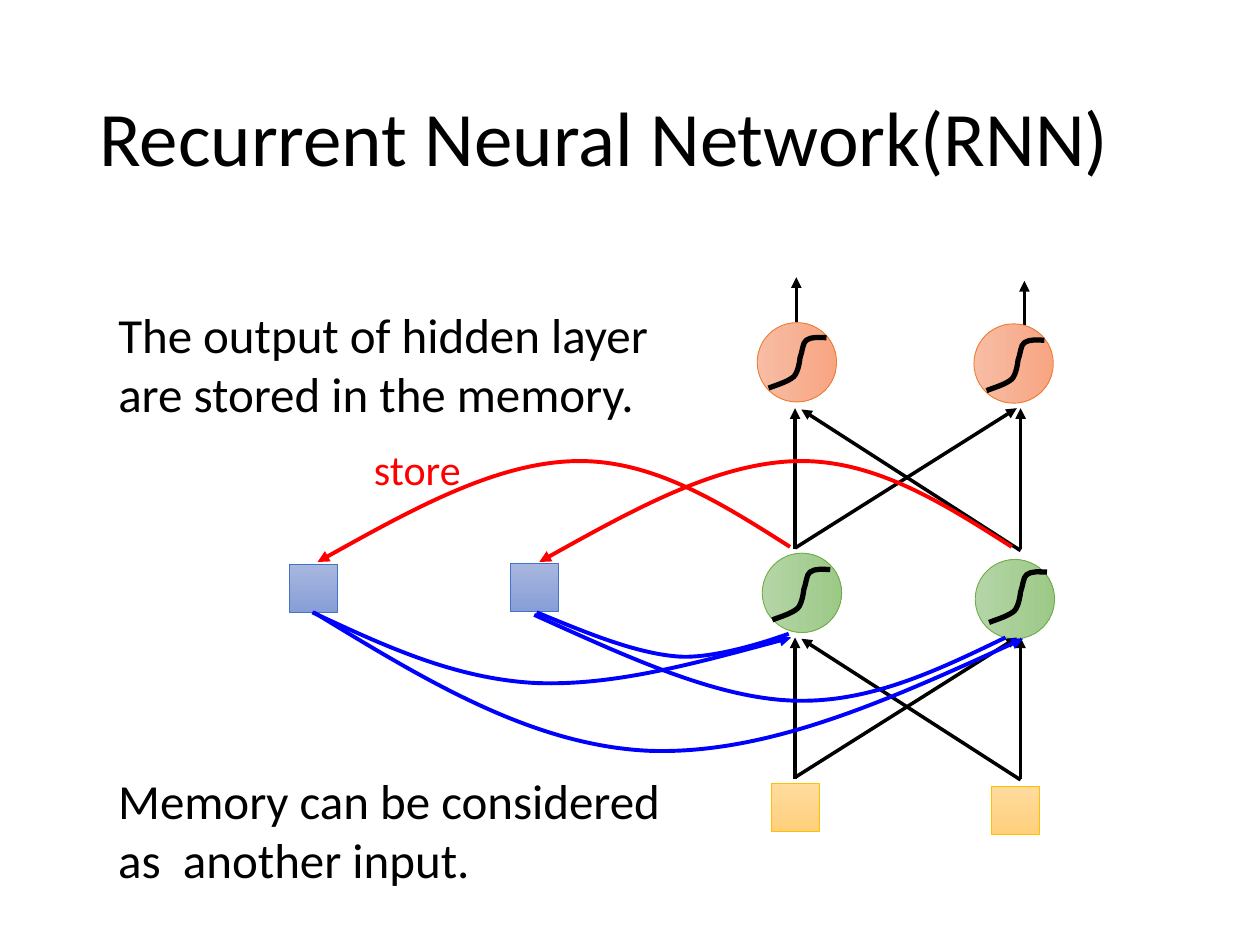
from dataclasses import dataclass

from lxml.etree import SubElement
from pptx import Presentation
from pptx.dml.color import RGBColor as Color
from pptx.enum.shapes import MSO_CONNECTOR as Connector, MSO_SHAPE as Preset
from pptx.enum.text import MSO_ANCHOR as Anchor
from pptx.oxml.ns import qn
from pptx.util import Inches, Pt


@dataclass(frozen=True)
class Theme:
    font: str = "Calibri"
    title_size: int = 44
    body_size: int = 28
    label_size: int = 24
    black: str = "000000"
    red: str = "FF0000"
    blue: str = "0000FF"
    outline: float = 0.5
    arrow: float = 2
    curve: float = 2.25
    sigmoid: float = 3
    input: tuple = ("FFDB9E", "FFD07C", "FFC000")
    hidden: tuple = ("B5D5A7", "9CC987", "70AD47")
    output: tuple = ("F7BDA5", "F8A582", "ED7D31")
    memory: tuple = ("A8B7DF", "889ED7", "4472C4")


theme = Theme()

TITLE = ("Recurrent Neural Network(RNN)", (0.69, 0.4, 8.62, 1.45))
NOTES = [
    ("Memory can be considered as  another input.", (0.84, 6.07, 4.53, 1.04)),
    ("The output of hidden layer are stored in the memory.", (0.84, 2.37, 4.82, 1.04)),
]
STORE = ("store", (2.87, 3.47, 1.06, 0.5))

SQUARE, CIRCLE = 0.38, 0.63
INPUTS = [(6.12, 6.22), (7.87, 6.24)]
MEMORIES = [(2.3, 4.48), (4.05, 4.47)]
HIDDEN = [(6.05, 4.39), (7.74, 4.44)]
OUTPUTS = [(6.01, 2.56), (7.73, 2.57)]

OUTPUT_ARROWS = [((8.13, 2.95), (8.13, 2.23)), ((6.32, 2.91), (6.32, 2.2))]
WEIGHTS = [
    ((8.1, 6.19), (6.36, 5.07)),
    ((6.31, 6.17), (8.07, 5.06)),
    ((8.1, 6.18), (8.1, 5.06)),
    ((6.31, 6.18), (6.31, 5.06)),
]
LAYER_RISE = 1.82

RECALL_CURVES = [
    ([(4.26, 4.86), (4.65, 5.02), (5.03, 5.18), (5.37, 5.21),
      (5.7, 5.24), (6.26, 5.03), (6.26, 5.03)], False),
    ([(4.24, 4.88), (4.95, 5.2), (5.65, 5.53), (6.27, 5.56),
      (6.89, 5.59), (7.44, 5.32), (7.98, 5.06)], False),
    ([(2.48, 4.86), (3.04, 5.12), (3.59, 5.38), (4.23, 5.42),
      (4.86, 5.45), (5.57, 5.25), (6.28, 5.06)], True),
    ([(2.49, 4.86), (3.36, 5.39), (4.22, 5.92), (5.16, 5.96),
      (6.1, 5.99), (7.11, 5.53), (8.12, 5.07)], True),
]
STORE_CURVE = [(6.27, 4.34), (5.72, 3.99), (5.17, 3.64), (4.55, 3.66),
               (3.92, 3.68), (3.22, 4.07), (2.52, 4.46)]
MEMORY_STEP = 1.76

SIGMOID = [(0, 0.4), (0.08, 0.37), (0.15, 0.35), (0.2, 0.31), (0.24, 0.27),
           (0.25, 0.16), (0.25, 0.16), (0.27, 0.11), (0.27, 0.04), (0.3, 0.02),
           (0.34, -0.01), (0.4, 0), (0.46, 0)]
SIGMOID_PLACES = [(6.1, 2.68), (7.83, 2.7), (7.85, 4.54), (6.13, 4.52)]


def shift(points, dx, dy):
    return [(x + dx, y + dy) for x, y in points]


def style_line(shape, color, width, arrow=False):
    shape.line.color.rgb = Color.from_string(color)
    shape.line.width = Pt(width)
    if arrow:
        SubElement(shape.line._get_or_add_ln(), qn("a:tailEnd"), type="triangle")


def add_text(slide, content, size, color=theme.black):
    text, box = content
    frame = slide.shapes.add_textbox(*map(Inches, box)).text_frame
    frame.word_wrap = True
    paragraph = frame.paragraphs[0]
    paragraph.text = text
    paragraph.font.name = theme.font
    paragraph.font.size = Pt(size)
    paragraph.font.color.rgb = Color.from_string(color)
    return frame


def add_nodes(slide, preset, places, size, colors, rotation=0):
    for left, top in places:
        shape = slide.shapes.add_shape(preset, *map(Inches, (left, top, size, size)))
        shape.rotation = rotation
        shape.shadow.inherit = False
        shape.fill.gradient()
        shape.fill.gradient_angle = 270
        for stop, color in zip(shape.fill.gradient_stops, colors):
            stop.color.rgb = Color.from_string(color)
        style_line(shape, colors[-1], theme.outline)


def add_arrows(slide, arrows):
    for start, end in arrows:
        connector = slide.shapes.add_connector(
            Connector.STRAIGHT, *map(Inches, start + end))
        style_line(connector, theme.black, theme.arrow, True)
        SubElement(connector._element.spPr, qn("a:effectLst"))


def add_curve(slide, points, color, width, arrow=False):
    start, *controls = [(Inches(x), Inches(y)) for x, y in points]
    builder = slide.shapes.build_freeform(*start)
    builder.add_line_segments(controls, close=False)
    shape = builder.convert_to_shape()
    path = next(shape._element.iter(qn("a:path")))
    segments = path.findall(qn("a:lnTo"))
    for index in range(0, len(segments), 3):
        bezier = SubElement(path, qn("a:cubicBezTo"))
        for segment in segments[index:index + 3]:
            bezier.append(segment[0])
            path.remove(segment)
    shape.shadow.inherit = False
    shape.fill.background()
    style_line(shape, color, width, arrow)


def main():
    presentation = Presentation()
    presentation.slide_width, presentation.slide_height = Inches(10), Inches(7.5)
    slide = presentation.slides.add_slide(presentation.slide_layouts[6])

    title = add_text(slide, TITLE, theme.title_size)
    title.vertical_anchor = Anchor.MIDDLE
    title.paragraphs[0].line_spacing = 0.9

    add_arrows(slide, OUTPUT_ARROWS)
    add_nodes(slide, Preset.RECTANGLE, INPUTS, SQUARE, theme.input)
    add_nodes(slide, Preset.OVAL, HIDDEN, CIRCLE, theme.hidden, 270)
    add_nodes(slide, Preset.OVAL, OUTPUTS, CIRCLE, theme.output, 270)
    add_arrows(slide, WEIGHTS)
    add_nodes(slide, Preset.RECTANGLE, MEMORIES, SQUARE, theme.memory)
    for note in NOTES:
        add_text(slide, note, theme.body_size)
    add_arrows(slide, [shift(arrow, 0, -LAYER_RISE) for arrow in WEIGHTS])

    for points, arrow in RECALL_CURVES:
        add_curve(slide, points, theme.blue, theme.curve, arrow)
    for place in SIGMOID_PLACES:
        add_curve(slide, shift(SIGMOID, *place), theme.black, theme.sigmoid)
    for index in range(len(MEMORIES)):
        points = shift(STORE_CURVE, index * MEMORY_STEP, 0)
        add_curve(slide, points, theme.red, theme.curve, True)
    add_text(slide, STORE, theme.label_size, theme.red)

    presentation.save("out.pptx")


if __name__ == "__main__":
    main()
